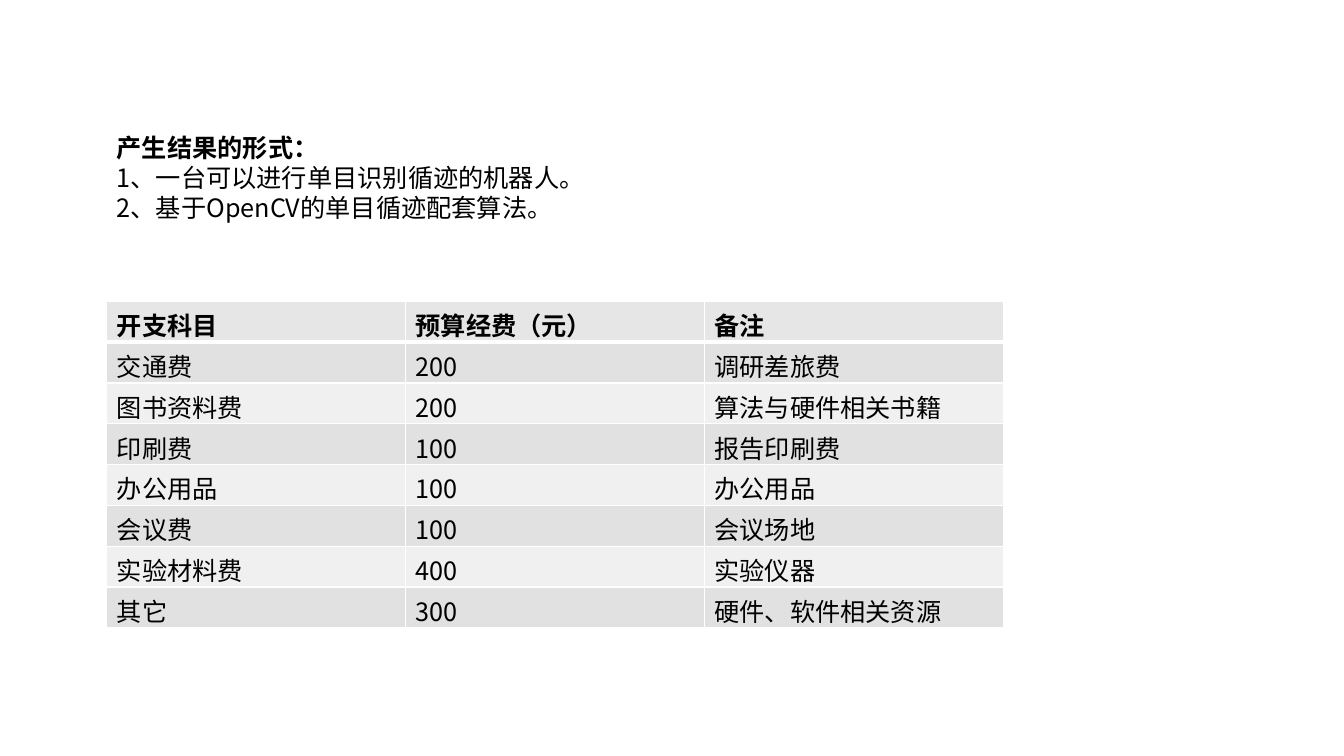
from lxml.etree import SubElement
from pptx import Presentation
from pptx.dml.color import RGBColor
from pptx.enum.text import MSO_AUTO_SIZE
from pptx.oxml import parse_xml
from pptx.oxml.ns import nsdecls, qn
from pptx.util import Inches, Pt

FONT = "Noto Sans CJK SC"
BLACK = RGBColor(0x00, 0x00, 0x00)
WHITE = RGBColor(0xFF, 0xFF, 0xFF)
HEADER = RGBColor(0xE7, 0xE6, 0xE6)
BANDS = [RGBColor(0xF0, 0xF0, 0xF0), RGBColor(0xE1, 0xE1, 0xE1)]

RESULTS = [
    "产生结果的形式：",
    "1、一台可以进行单目识别循迹的机器人。",
    "2、基于OpenCV的单目循迹配套算法。",
]
BUDGET = [
    ("开支科目", "预算经费（元）", "备注"),
    ("交通费", "200", "调研差旅费"),
    ("图书资料费", "200", "算法与硬件相关书籍"),
    ("印刷费", "100", "报告印刷费"),
    ("办公用品", "100", "办公用品"),
    ("会议费", "100", "会议场地"),
    ("实验材料费", "400", "实验仪器"),
    ("其它", "300", "硬件、软件相关资源"),
]


def add_text(p, text, bold):
    r = p.add_run()
    r.text = text
    r.font.name = FONT
    r.font.size = Pt(18)
    r.font.bold = bold
    r.font.color.rgb = BLACK
    # East Asian typeface
    SubElement(r.font._element, qn("a:ea")).set("typeface", FONT)


def set_borders(cell, top, bottom):
    tc_pr = cell._tc.get_or_add_tcPr()
    widths = {"lnL": 1, "lnR": 1, "lnT": top, "lnB": bottom}
    for i, (side, width) in enumerate(widths.items()):
        tc_pr.insert(i, parse_xml(
            f'<a:{side} {nsdecls("a")} w="{Pt(width)}"><a:solidFill>'
            f'<a:srgbClr val="{WHITE}"/></a:solidFill></a:{side}>'))


def add_results(slide, left, top, width, height):
    tf = slide.shapes.add_textbox(left, top, width, height).text_frame
    tf.word_wrap = False
    tf.auto_size = MSO_AUTO_SIZE.SHAPE_TO_FIT_TEXT
    for i, line in enumerate(RESULTS):
        p = tf.add_paragraph() if i else tf.paragraphs[0]
        add_text(p, line, bold=i == 0)


def add_budget(slide, left, top, width, height):
    table = slide.shapes.add_table(
        len(BUDGET), len(BUDGET[0]), left, top, width, height).table
    for i, row in enumerate(BUDGET):
        for j, text in enumerate(row):
            cell = table.cell(i, j)
            cell.fill.solid()
            cell.fill.fore_color.rgb = BANDS[i % 2] if i else HEADER
            # Thick rule under the header row
            set_borders(cell, top=3 if i == 1 else 1, bottom=1 if i else 3)
            add_text(cell.text_frame.paragraphs[0], text, bold=i == 0)


def main():
    prs = Presentation()
    prs.slide_width, prs.slide_height = Inches(13.33), Inches(7.5)
    slide = prs.slides.add_slide(prs.slide_layouts[6])
    # Forms of the results
    add_results(slide, Inches(1.06), Inches(1.26), Inches(4.88), Inches(1.31))
    # Budget table
    add_budget(slide, Inches(1.06), Inches(2.99), Inches(8.89), Inches(3.24))
    prs.save("out.pptx")


if __name__ == "__main__":
    main()
